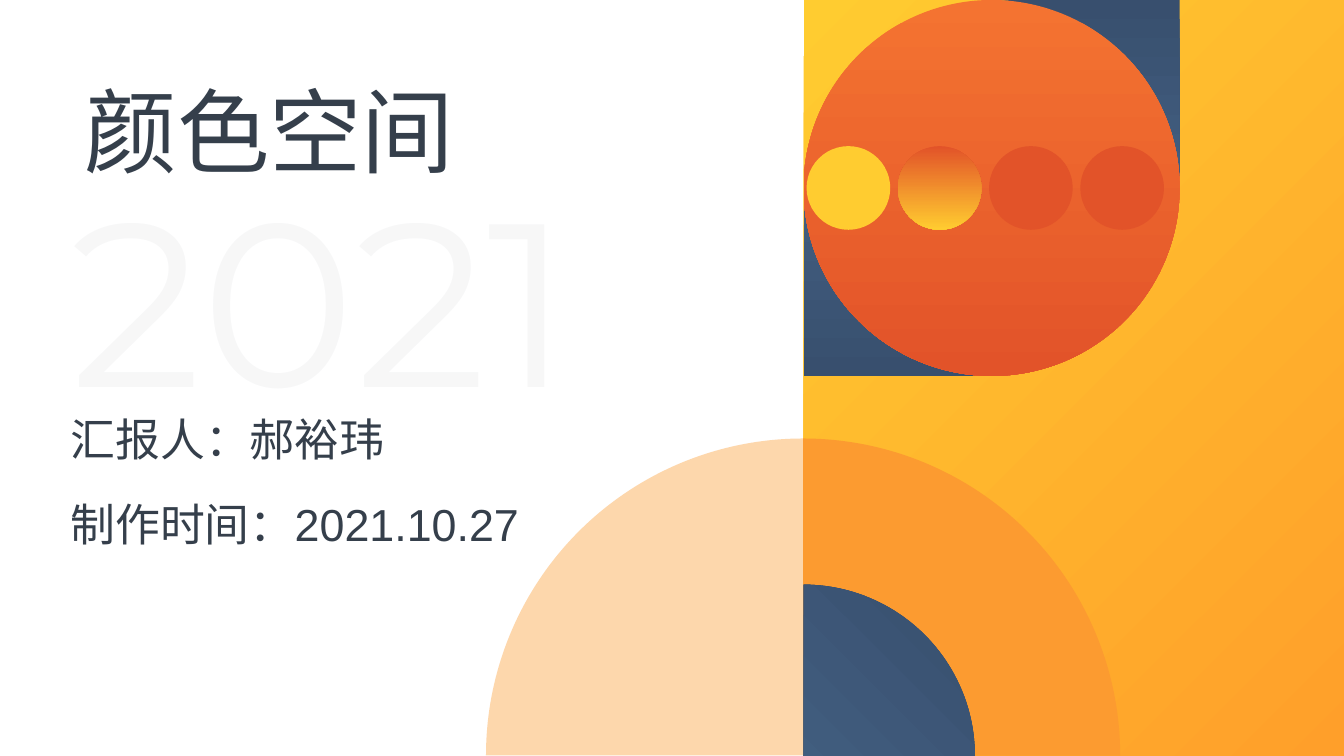
import pptx
import pptx.util
import pptx.dml.color
import pptx.enum.shapes
import pptx.enum.text
import pptx.oxml.ns
from lxml import etree

Inches = pptx.util.Inches
MSO = pptx.enum.shapes.MSO_SHAPE

INK, YELLOW, AMBER, ORANGE = "353F4B", "FFCC30", "FF9F2A", "FC9B30"
FLAME, RED, NAVY, BLUE = "F47331", "E25329", "384F6E", "4A6C90"


def rgb(value):
    return pptx.dml.color.RGBColor.from_string(value)


class Deck:
    """Holds the presentation, its current slide and the text style."""

    def __init__(self):
        self.prs = pptx.Presentation()
        self.prs.slide_width = Inches(13.33)
        self.prs.slide_height = Inches(7.5)
        self.s = self.prs.slides.add_slide(self.prs.slide_layouts[0])

    def solid(self, fill, color, alpha=None):
        fill.solid()
        fill.fore_color.rgb = rgb(color)
        if alpha is not None:
            clr = fill._xPr.find(".//" + pptx.oxml.ns.qn("a:srgbClr"))
            etree.SubElement(clr, pptx.oxml.ns.qn("a:alpha"), val=str(alpha * 1000))

    def gradient(self, fill, start, end, angle):
        fill.gradient()
        fill.gradient_angle = 360 - angle  # counted counter-clockwise
        for stop, color, position in zip(fill.gradient_stops, (start, end), (0, 1)):
            stop.color.rgb = rgb(color)
            stop.position = position

    def shape(self, kind, x, y, w, h, colors, angle=90, alpha=None, adj=(), rotation=0):
        sp = self.s.shapes.add_shape(kind, Inches(x), Inches(y), Inches(w), Inches(h))
        sp.shadow.inherit = False
        sp.line.fill.background()
        sp.rotation = rotation
        for i, value in enumerate(adj):
            sp.adjustments[i] = value
        if len(colors) == 2:
            self.gradient(sp.fill, *colors, angle)
        else:
            self.solid(sp.fill, colors[0], alpha)

    def text(self, text, x, y, w, h, size, font, wrap=False, alpha=None, sp=None):
        if sp is None:
            sp = self.s.shapes.add_textbox(0, 0, 0, 0)
        sp.left, sp.top, sp.width, sp.height = map(Inches, (x, y, w, h))
        tf = sp.text_frame
        tf.text = text
        tf.word_wrap = wrap
        tf.auto_size = pptx.enum.text.MSO_AUTO_SIZE.SHAPE_TO_FIT_TEXT
        tf.vertical_anchor = pptx.enum.text.MSO_ANCHOR.TOP
        p = tf.paragraphs[0]
        p.alignment = pptx.enum.text.PP_ALIGN.LEFT
        p.space_before = pptx.util.Pt(0)
        r = p.runs[0]
        r.font.size = pptx.util.Pt(size)
        r.font.name = font
        self.solid(r.font.fill, INK, alpha)


def main():
    deck = Deck()
    title, subtitle = deck.s.placeholders

    # Faint year and right-hand panel
    deck.text("2021", 0.6, 1.49, 6.41, 2.89, 166, "Montserrat", alpha=4)
    deck.shape(MSO.RECTANGLE, 7.97, 0, 5.36, 7.5, (YELLOW, AMBER), angle=45)

    # Quarter discs right of the panel edge
    right_quarter, left_quarter = (162, 0), (108, 162)
    deck.shape(MSO.PIE, 4.82, 4.35, 6.29, 6.29, (ORANGE,), adj=right_quarter)
    deck.shape(MSO.PIE, 6.27, 5.8, 3.4, 3.4, (NAVY, BLUE), angle=135, adj=right_quarter)

    # Large disc over two teardrops
    for x, y, rotation in ((8.48, 0, 0), (7.97, 0.51, 180)):
        deck.shape(MSO.TEAR, x, y, 3.22, 3.22, (NAVY, BLUE), rotation=rotation)
    deck.shape(MSO.OVAL, 7.97, 0, 3.73, 3.73, (FLAME, RED))

    # Translucent quarter disc left of the panel edge
    deck.shape(MSO.PIE, 4.82, 4.35, 6.29, 6.29, (ORANGE,), alpha=40, adj=left_quarter)

    # Row of small dots
    for i, colors in enumerate(((YELLOW,), (RED, YELLOW), (RED,), (RED,))):
        deck.shape(MSO.OVAL, 8 + 0.905 * i, 1.45, 0.83, 0.83, colors)

    # Title, presenter and date
    deck.text("颜色空间", 0.74, 0.69, 3.9, 1.21, 66, "Montserrat", sp=title)
    deck.text("汇报人：郝裕玮", 0.6, 4.03, 5.44, 0.64, 32, "Arial", wrap=True, sp=subtitle)
    deck.text("制作时间：2021.10.27", 0.6, 4.88, 5.44, 0.64, 32, "Arial", wrap=True)

    deck.prs.save("out.pptx")


if __name__ == "__main__":
    main()
